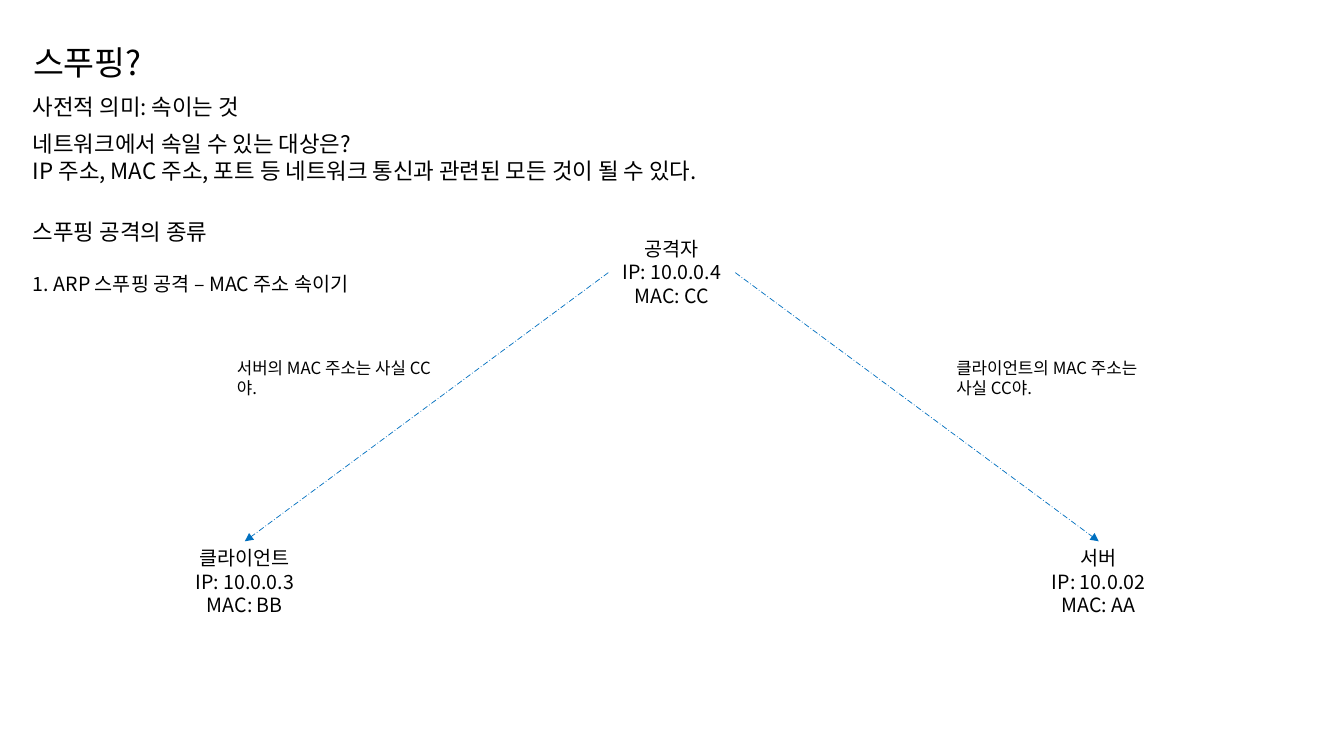
from lxml.etree import SubElement
from pptx import Presentation
from pptx.dml.color import RGBColor
from pptx.enum.dml import MSO_LINE
from pptx.enum.shapes import MSO_CONNECTOR
from pptx.enum.text import MSO_ANCHOR, MSO_AUTO_SIZE, PP_ALIGN
from pptx.oxml.ns import qn
from pptx.util import Cm, Pt

COLORS = {"text": "000000", "arrow": "0070C0"}
FONT = "Noto Sans CJK KR"
TOP, LEFT, RIGHT = 0, 1, 3  # connection sites of a rectangle


def write(shape, text, size=14, align=PP_ALIGN.LEFT):
    """Fill a shape with one paragraph per line of text."""
    frame = shape.text_frame
    frame.word_wrap = True
    frame.auto_size = MSO_AUTO_SIZE.SHAPE_TO_FIT_TEXT
    frame.vertical_anchor = MSO_ANCHOR.TOP
    frame.text = text
    for para in frame.paragraphs:
        para.alignment = align
        for span in para.runs:
            span.font.size = Pt(size)
            span.font.name = FONT
            span.font.color.rgb = RGBColor.from_string(COLORS["text"])
            SubElement(span.font._element, qn("a:ea")).set("typeface", FONT)


def add_text(page, left, top, width, height, text, **style):
    box = page.shapes.add_textbox(Cm(left), Cm(top), Cm(width), Cm(height))
    write(box, text, **style)
    return box


def add_arrow(page, source, source_site, target, target_site):
    arrow = page.shapes.add_connector(MSO_CONNECTOR.STRAIGHT, 0, 0, 0, 0)
    arrow.begin_connect(source, source_site)
    arrow.end_connect(target, target_site)
    arrow.line.color.rgb = RGBColor.from_string(COLORS["arrow"])
    arrow.line.width = Pt(0.5)
    arrow.line.dash_style = MSO_LINE.LONG_DASH_DOT
    SubElement(arrow.line._get_or_add_ln(), qn("a:tailEnd")).set("type", "triangle")
    SubElement(arrow._element.spPr, qn("a:effectLst"))


def add_explanation(page, left, top):
    # Title
    title = page.shapes.title
    title.left, title.top = Cm(left), Cm(top)
    title.width, title.height = Cm(4.17), Cm(1.27)
    write(title, "스푸핑?", size=24)

    # Definition, targets and kinds of attack
    for offset, width, height, size, text in (
        (1.27, 6.38, 0.94, 16, "사전적 의미: 속이는 것"),
        (2.21, 22.94, 1.63, 16,
         "네트워크에서 속일 수 있는 대상은?\n"
         "IP 주소, MAC 주소, 포트 등 네트워크 통신과 관련된 모든 것이 될 수 있다."),
        (4.42, 6.38, 0.94, 16, "스푸핑 공격의 종류"),
        (5.79, 10.03, 0.86, 14, "1. ARP 스푸핑 공격 – MAC 주소 속이기"),
    ):
        add_text(page, left, top + offset, width, height, text, size=size)


def add_attack_diagram(page, left, top, width, height):
    host_width, host_height = 3.2, 2.06
    middle = left + (width - host_width) / 2
    right = left + width - host_width
    bottom = top + height - host_height

    # Hosts
    attacker, client, server = (
        add_text(page, x, y, host_width, host_height, text, align=PP_ALIGN.CENTER)
        for x, y, text in (
            (middle, top, "공격자\nIP: 10.0.0.4\nMAC: CC"),
            (left, bottom, "클라이언트\nIP: 10.0.0.3\nMAC: BB"),
            (right, bottom, "서버\nIP: 10.0.02\nMAC: AA"),
        )
    )

    # Forged messages
    add_arrow(page, attacker, LEFT, client, TOP)
    add_arrow(page, attacker, RIGHT, server, TOP)
    for offset, note_width, text in (
        (1.15, 5.41, "서버의 MAC 주소는 사실 CC야."),
        (19.28, 5.92, "클라이언트의 MAC 주소는 사실 CC야."),
    ):
        add_text(page, left + offset, top + 3.05, note_width, 1.27, text, size=12)


def main():
    deck = Presentation()
    deck.slide_width, deck.slide_height = Cm(33.87), Cm(19.05)
    page = deck.slides.add_slide(deck.slide_layouts[5])
    add_explanation(page, 0.58, 0.94)
    add_attack_diagram(page, 4.57, 5.84, 24.72, 9.86)
    deck.save("out.pptx")


if __name__ == "__main__":
    main()
